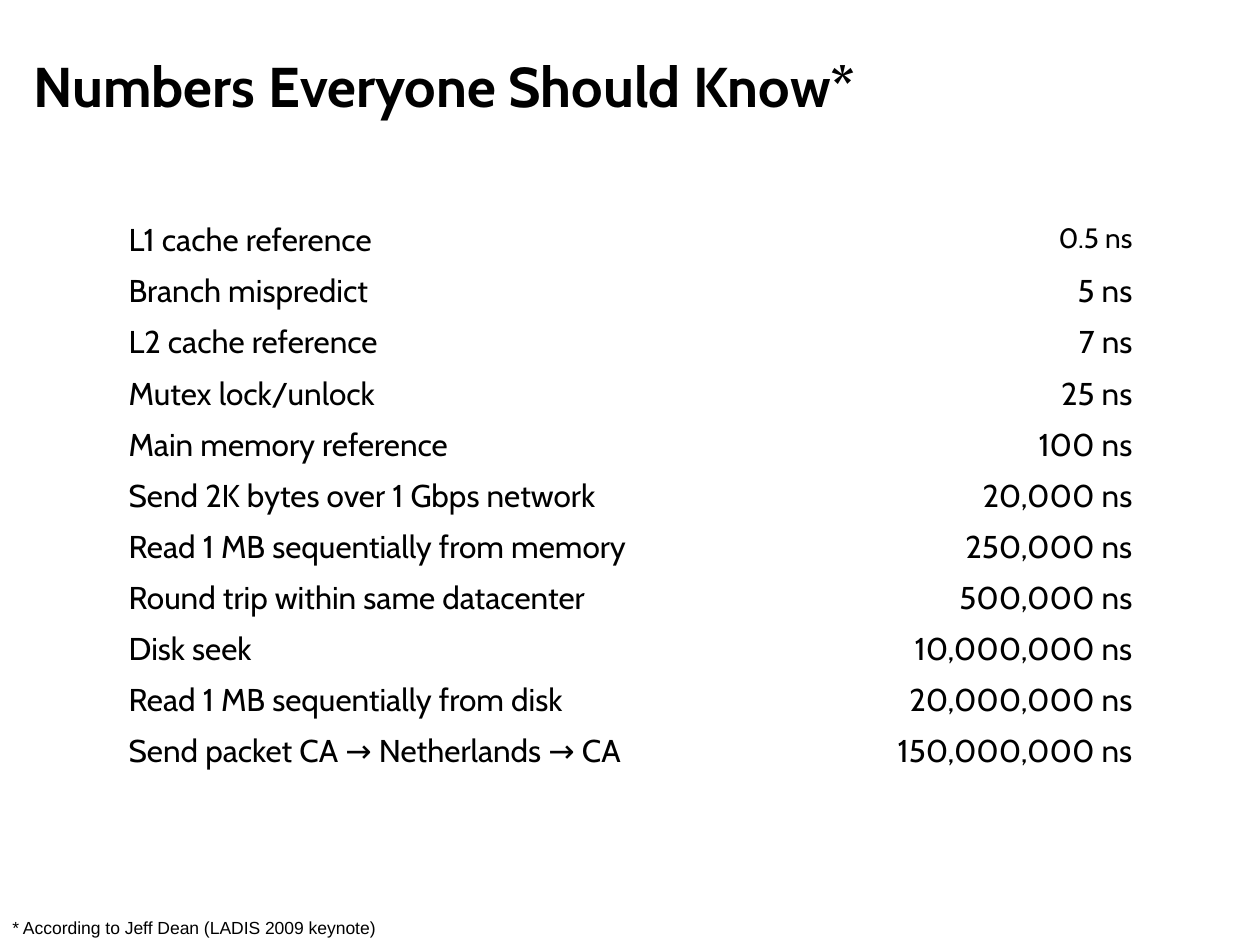
from pptx import Presentation
from pptx.dml.color import RGBColor
from pptx.enum.text import MSO_ANCHOR, MSO_AUTO_SIZE, PP_ALIGN
from pptx.util import Emu, Pt

PX_PER_INCH = 126
COLORS = {"text": "000000", "background": "FFFFFF"}
LATENCIES = [
    ("L1 cache reference", "0.5 ns"),
    ("Branch mispredict", "5 ns"),
    ("L2 cache reference", "7 ns"),
    ("Mutex lock/unlock", "25 ns"),
    ("Main memory reference", "100 ns"),
    ("Send 2K bytes over 1 Gbps network", "20,000 ns"),
    ("Read 1 MB sequentially from memory", "250,000 ns"),
    ("Round trip within same datacenter", "500,000 ns"),
    ("Disk seek", "10,000,000 ns"),
    ("Read 1 MB sequentially from disk", "20,000,000 ns"),
    ("Send packet CA → Netherlands → CA", "150,000,000 ns"),
]


def px(length):
    return Emu(round(length * 914400 / PX_PER_INCH))


def write(frame, text, *, size, font="Cabin", bold=False, align=PP_ALIGN.LEFT):
    paragraph = frame.paragraphs[0]
    paragraph.alignment = align
    run = paragraph.add_run()
    run.text = text
    run.font.name = font
    run.font.size = Pt(size)
    run.font.bold = bold
    run.font.color.rgb = RGBColor.from_string(COLORS["text"])


def add_heading(slide, text):
    heading = slide.shapes.title
    heading.left, heading.top, heading.width, heading.height = map(px, (21, 15, 1197, 141))
    frame = heading.text_frame
    frame.auto_size = MSO_AUTO_SIZE.NONE
    frame.vertical_anchor = MSO_ANCHOR.MIDDLE
    write(frame, text, size=32, bold=True)


def add_latency_table(slide, rows):
    table = slide.shapes.add_table(
        len(rows), 2, px(116), px(215), px(1029), px(562)
    ).table
    table.first_row = table.horz_banding = False
    for column, width in zip(table.columns, (651, 378)):
        column.width = px(width)
    for index, (operation, duration) in enumerate(rows):
        operation_cell, duration_cell = table.rows[index].cells
        for cell in (operation_cell, duration_cell):
            cell.fill.background()
        write(operation_cell.text_frame, operation, size=18)
        # The first duration is set slightly smaller
        write(duration_cell.text_frame, duration,
              size=18 if index else 16, align=PP_ALIGN.RIGHT)


def add_footnote(slide, text):
    footnote = slide.shapes.add_textbox(px(0), px(911), px(392), px(34))
    frame = footnote.text_frame
    frame.word_wrap = False
    frame.auto_size = MSO_AUTO_SIZE.SHAPE_TO_FIT_TEXT
    write(frame, text, size=10, font="Arial")


def main():
    deck = Presentation()
    deck.slide_width, deck.slide_height = px(1260), px(945)
    slide = deck.slides.add_slide(deck.slide_layouts[5])
    background = slide.background.fill
    background.solid()
    background.fore_color.rgb = RGBColor.from_string(COLORS["background"])

    # Title, table of latencies, source note
    add_heading(slide, "Numbers Everyone Should Know*")
    add_latency_table(slide, LATENCIES)
    add_footnote(slide, "* According to Jeff Dean (LADIS 2009 keynote)")

    deck.save("out.pptx")


if __name__ == "__main__":
    main()
